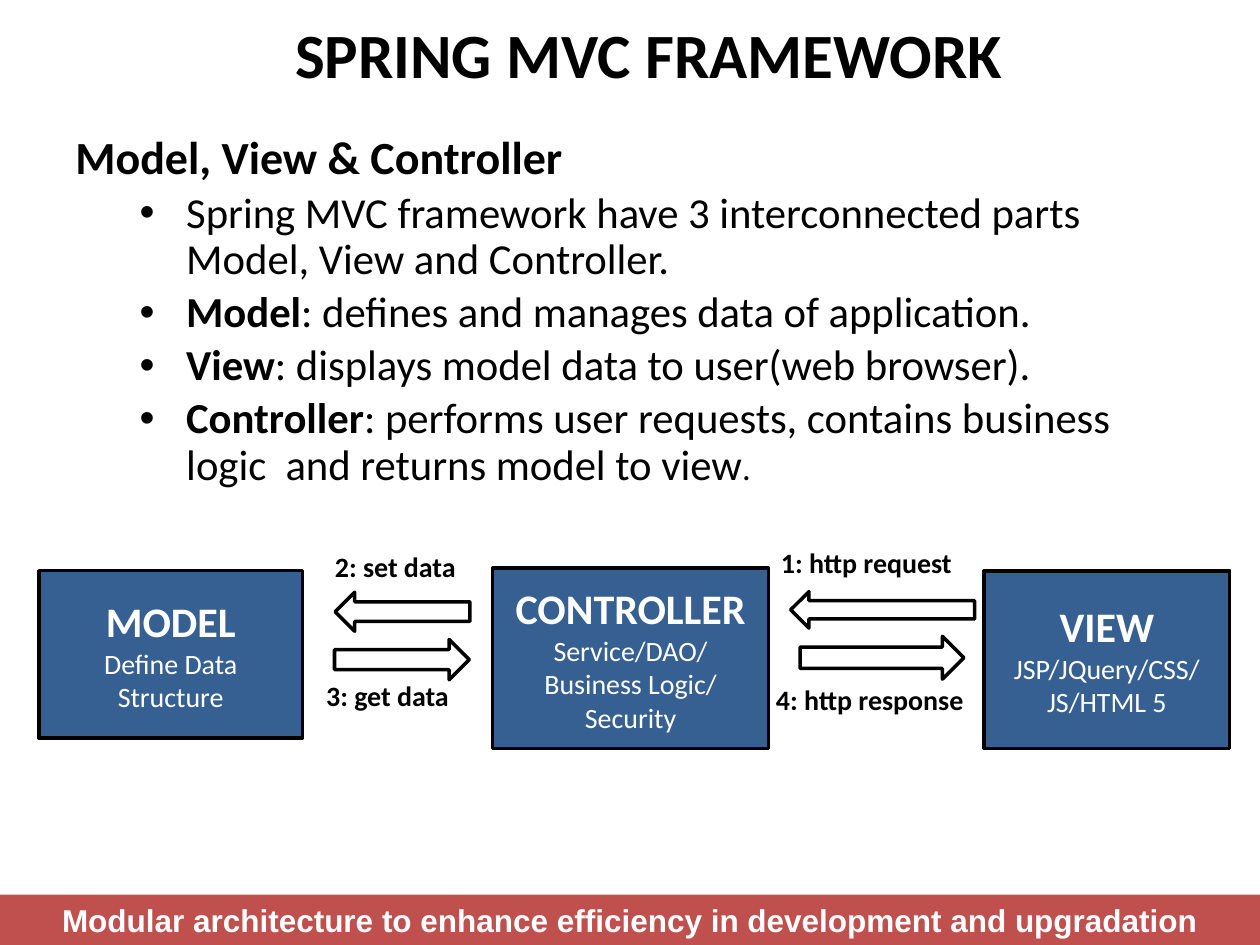
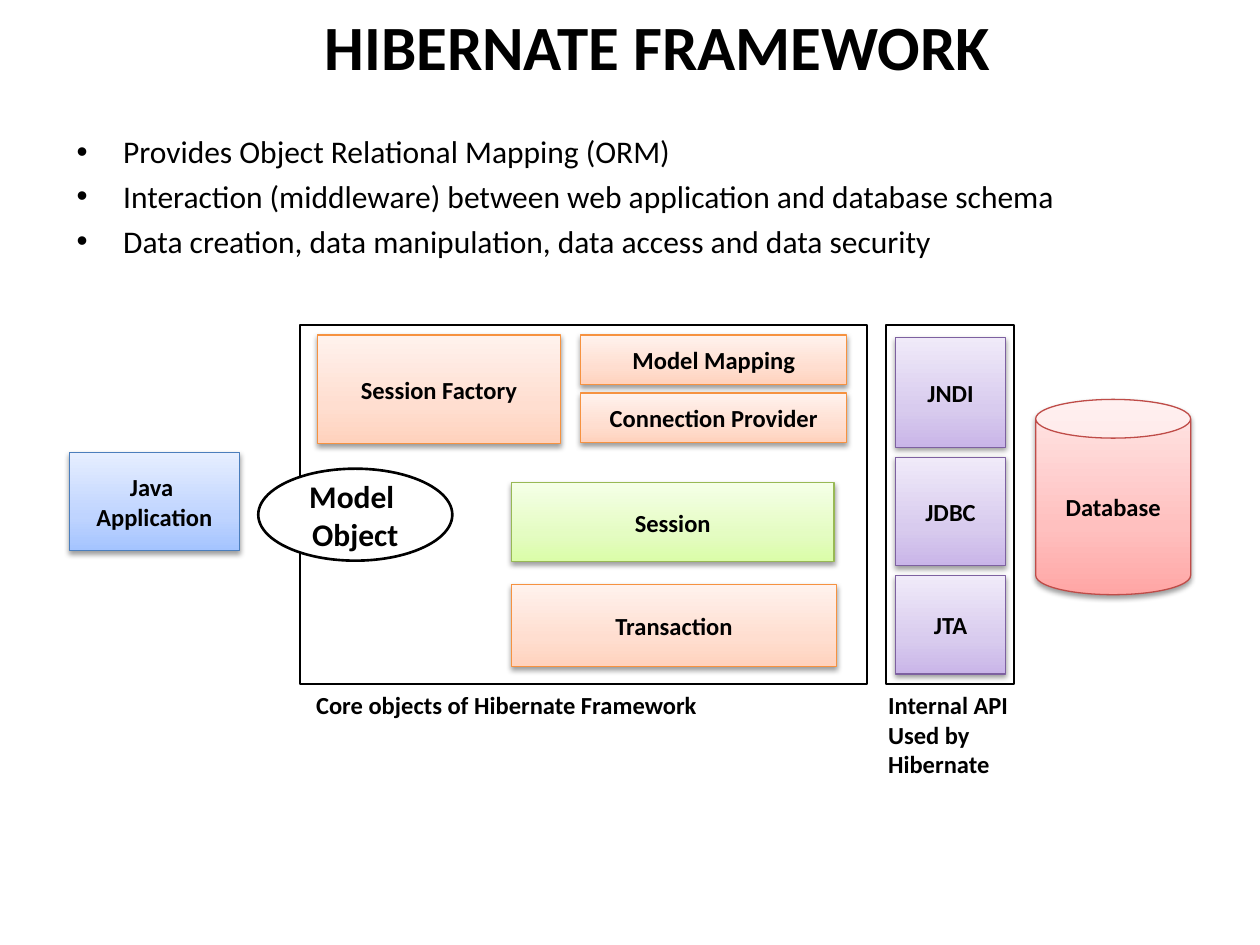
from lxml import etree
from pptx import Presentation
from pptx.dml.color import RGBColor
from pptx.enum.shapes import MSO_SHAPE as Shape
from pptx.enum.text import MSO_ANCHOR as Anchor, MSO_AUTO_SIZE as AutoSize, PP_ALIGN as Align
from pptx.oxml.ns import qn
from pptx.util import Inches, Pt

# Shared style
FONT = "Calibri"
BLACK, WHITE = "000000", "FFFFFF"
BOX_BLUE, BAND_RED = "376092", "C0504D"

# Gradient stops from bottom to top, then the outline
STOP_POSITIONS = (0, 35, 100)
ORANGE = (("FFD2BD", "FFDED0", "FFF2ED"), "F69240")
GREEN = (("DAFDA7", "E4FCC2", "F5FFE7"), "98B955")
BLUE = (("A4C4FF", "BFD4FF", "E6EEFF"), "4B7EBC")
PURPLE = (("C9B5E8", "D8CBEE", "F0EAF9"), "7D60A0")
RED = (("FFA6A5", "FFC0BF", "FFE7E7"), "BF4C48")


def rgb(color):
    return RGBColor.from_string(color)


def add_child(parent, tag, **attributes):
    values = {name: str(value) for name, value in attributes.items()}
    return etree.SubElement(parent, qn(tag), values)


# Text
def add_run(paragraph, text, size, bold=True, color=BLACK, font=FONT):
    run = paragraph.add_run()
    run.text = text
    run.font.size = Pt(size)
    run.font.bold = bold
    run.font.name = font
    run.font.color.rgb = rgb(color)


def next_paragraph(frame):
    first = frame.paragraphs[0]
    return frame.add_paragraph() if first.runs else first


def add_lines(frame, lines, size, align=Align.CENTER, **style):
    for line in lines:
        paragraph = next_paragraph(frame)
        paragraph.alignment = align
        add_run(paragraph, line, size, **style)


def set_bullet(paragraph, margin, hanging=0.37):
    properties = paragraph._p.get_or_add_pPr()
    properties.set("marL", str(Inches(margin)))
    properties.set("indent", str(-Inches(hanging)))
    color = add_child(properties, "a:buClr")
    add_child(color, "a:srgbClr", val=BLACK)
    add_child(properties, "a:buFont", typeface="Arial")
    add_child(properties, "a:buChar", char="•")


def add_text_box(slide, at, wrap=True, grow=False):
    box = slide.shapes.add_textbox(*map(Inches, at))
    frame = box.text_frame
    frame.word_wrap = wrap
    frame.auto_size = AutoSize.SHAPE_TO_FIT_TEXT if grow else AutoSize.NONE
    return frame


def add_title(slide, at, text):
    frame = add_text_box(slide, at)
    frame.vertical_anchor = Anchor.MIDDLE
    add_lines(frame, [text], 36)


def add_label(slide, at, *lines, size, wrap):
    frame = add_text_box(slide, at, wrap=wrap, grow=True)
    add_lines(frame, lines, size, Align.LEFT)


# Shapes
def add_shape(slide, kind, at, fill=None, line=None, width=1):
    shape = slide.shapes.add_shape(kind, *map(Inches, at))
    shape.shadow.inherit = False
    if fill:
        shape.fill.solid()
        shape.fill.fore_color.rgb = rgb(fill)
    else:
        shape.fill.background()
    if line:
        shape.line.color.rgb = rgb(line)
        shape.line.width = Pt(width)
    else:
        shape.line.fill.background()
    shape.text_frame.vertical_anchor = Anchor.MIDDLE
    return shape


def set_gradient(shape, colors):
    shape.fill.gradient()
    gradient = shape._element.spPr.find(qn("a:gradFill"))
    for child in list(gradient):
        gradient.remove(child)
    stops = add_child(gradient, "a:gsLst")
    for position, color in zip(STOP_POSITIONS, colors):
        stop = add_child(stops, "a:gs", pos=position * 1000)
        add_child(stop, "a:srgbClr", val=color)
    add_child(gradient, "a:lin", ang=270 * 60000, scaled=0)


def set_shadow(shape):
    effects = shape._element.spPr.find(qn("a:effectLst"))
    shadow = add_child(effects, "a:outerShdw", blurRad=Pt(3.1), dist=Pt(1.6),
                       dir=90 * 60000, rotWithShape=0)
    color = add_child(shadow, "a:srgbClr", val=BLACK)
    add_child(color, "a:alpha", val=38000)


def add_component(slide, at, palette, *lines, kind=Shape.RECTANGLE):
    colors, outline = palette
    shape = add_shape(slide, kind, at, line=outline, width=0.75)
    set_gradient(shape, colors)
    set_shadow(shape)
    add_lines(shape.text_frame, lines, 14)


def add_mvc_box(slide, at, heading, *details):
    shape = add_shape(slide, Shape.RECTANGLE, at, BOX_BLUE, BLACK, 2)
    add_lines(shape.text_frame, [heading], 24, color=WHITE)
    add_lines(shape.text_frame, details, 16, bold=False, color=WHITE)


def add_arrow(slide, at, rotation):
    arrow = add_shape(slide, Shape.DOWN_ARROW, at, WHITE, BLACK, 2)
    arrow.rotation = rotation


# Slides
def build_spring_slide(slide):
    add_title(slide, (1.71, -0.08, 6.88, 1), "SPRING MVC FRAMEWORK")

    # Explanation of the three parts
    frame = add_text_box(slide, (0.5, 1.02, 9, 3.05))
    add_lines(frame, ["Model, View & Controller"], 26.3, Align.LEFT)
    points = [
        ("", "Spring MVC framework have 3 interconnected parts Model, View and Controller."),
        ("Model", ": defines and manages data of application."),
        ("View", ": displays model data to user(web browser)."),
        ("Controller", ": performs user requests, contains business logic  and returns model to view"),
    ]
    for term, meaning in points:
        paragraph = frame.add_paragraph()
        paragraph.level = 1
        if term:
            add_run(paragraph, term, 24.4)
        add_run(paragraph, meaning, 24.4, bold=False)
    add_run(paragraph, ".", 19.7, bold=False)
    for paragraph in frame.paragraphs:
        paragraph.line_spacing = 0.9
        paragraph.space_before = Pt(4)
        if paragraph.level:
            set_bullet(paragraph, 0.88)

    # Model, controller and view
    add_mvc_box(slide, (3.91, 4.51, 2.19, 1.43), "CONTROLLER",
                "Service/DAO/", "Business Logic/ Security")
    add_mvc_box(slide, (0.31, 4.53, 2.09, 1.33), "MODEL", "Define Data Structure")
    add_mvc_box(slide, (7.81, 4.53, 1.95, 1.41), "VIEW", "JSP/JQuery/CSS/", "JS/HTML 5")

    # Data flow: a turn of 270 points right, 90 points left
    add_arrow(slide, (6.83, 4.57, 0.34, 1.3), 270)
    add_arrow(slide, (3.03, 4.7, 0.32, 1.07), 270)
    add_arrow(slide, (3.04, 4.32, 0.31, 1.07), 90)
    add_arrow(slide, (6.86, 4.11, 0.29, 1.46), 90)
    for left, top, width, text in [
        (6.1, 4.28, 1.57, "1: http request"),
        (6.06, 5.37, 1.71, "4: http response"),
        (2.49, 5.34, 1.18, "3: get data"),
        (2.56, 4.31, 1.17, "2: set data"),
    ]:
        add_label(slide, (left, top, width, 0.37), text, size=16, wrap=False)

    # Footer band
    band = add_shape(slide, Shape.RECTANGLE, (0, 7.1, 10, 0.4), BAND_RED)
    band.text_frame.vertical_anchor = Anchor.TOP
    add_lines(band.text_frame,
              ["Modular architecture to enhance efficiency in development and upgradation"],
              18, color=WHITE, font="Arial")


def build_hibernate_slide(slide):
    add_title(slide, (1.78, 0, 6.88, 0.72), "HIBERNATE FRAMEWORK")

    # Purpose
    frame = add_text_box(slide, (0.5, 1, 9, 1.45))
    add_lines(frame, [
        "Provides Object Relational Mapping (ORM)",
        "Interaction (middleware) between web application and database schema",
        "Data creation, data manipulation, data access and data security",
    ], 18, Align.LEFT, bold=False)
    for paragraph in frame.paragraphs:
        paragraph.space_before = Pt(4)
        set_bullet(paragraph, 0.38)

    # Frames around the core objects and the internal API
    for left, width in [(2.38, 4.5), (7.03, 1.02)]:
        add_shape(slide, Shape.RECTANGLE, (left, 2.58, width, 2.85), line=BLACK)

    # Core objects
    add_component(slide, (2.52, 2.66, 1.93, 0.86), ORANGE, "Session Factory")
    add_component(slide, (4.61, 2.66, 2.11, 0.39), ORANGE, "Model Mapping")
    add_component(slide, (4.61, 3.12, 2.11, 0.39), ORANGE, "Connection Provider")
    add_component(slide, (4.06, 3.83, 2.56, 0.63), GREEN, "Session")
    add_component(slide, (4.06, 4.64, 2.58, 0.65), ORANGE, "Transaction")

    # Internal API stack
    top = 2.68
    for name, height in [("JNDI", 0.87), ("JDBC", 0.86), ("JTA", 0.78)]:
        add_component(slide, (7.11, top, 0.87, height), PURPLE, name)
        top += height + 0.08

    # Both ends of the chain and the object that is passed
    add_component(slide, (0.55, 3.59, 1.35, 0.78), BLUE, "Java ", "Application")
    add_component(slide, (8.22, 3.17, 1.23, 1.55), RED, "Database", kind=Shape.CAN)
    model = add_shape(slide, Shape.OVAL, (2.05, 3.72, 1.54, 0.73), WHITE, BLACK, 1.5)
    add_lines(model.text_frame, ["Model ", "Object"], 18)

    # Captions
    add_label(slide, (2.41, 5.43, 3.92, 0.34), "Core objects of Hibernate Framework",
              size=14, wrap=True)
    add_label(slide, (6.95, 5.43, 1.4, 0.81), "Internal API", "Used by", "Hibernate",
              size=14, wrap=True)


def main():
    presentation = Presentation()
    presentation.slide_width = Inches(10)
    presentation.slide_height = Inches(7.5)
    blank = presentation.slide_layouts[6]
    for build in (build_spring_slide, build_hibernate_slide):
        build(presentation.slides.add_slide(blank))
    presentation.save("out.pptx")


if __name__ == "__main__":
    main()
